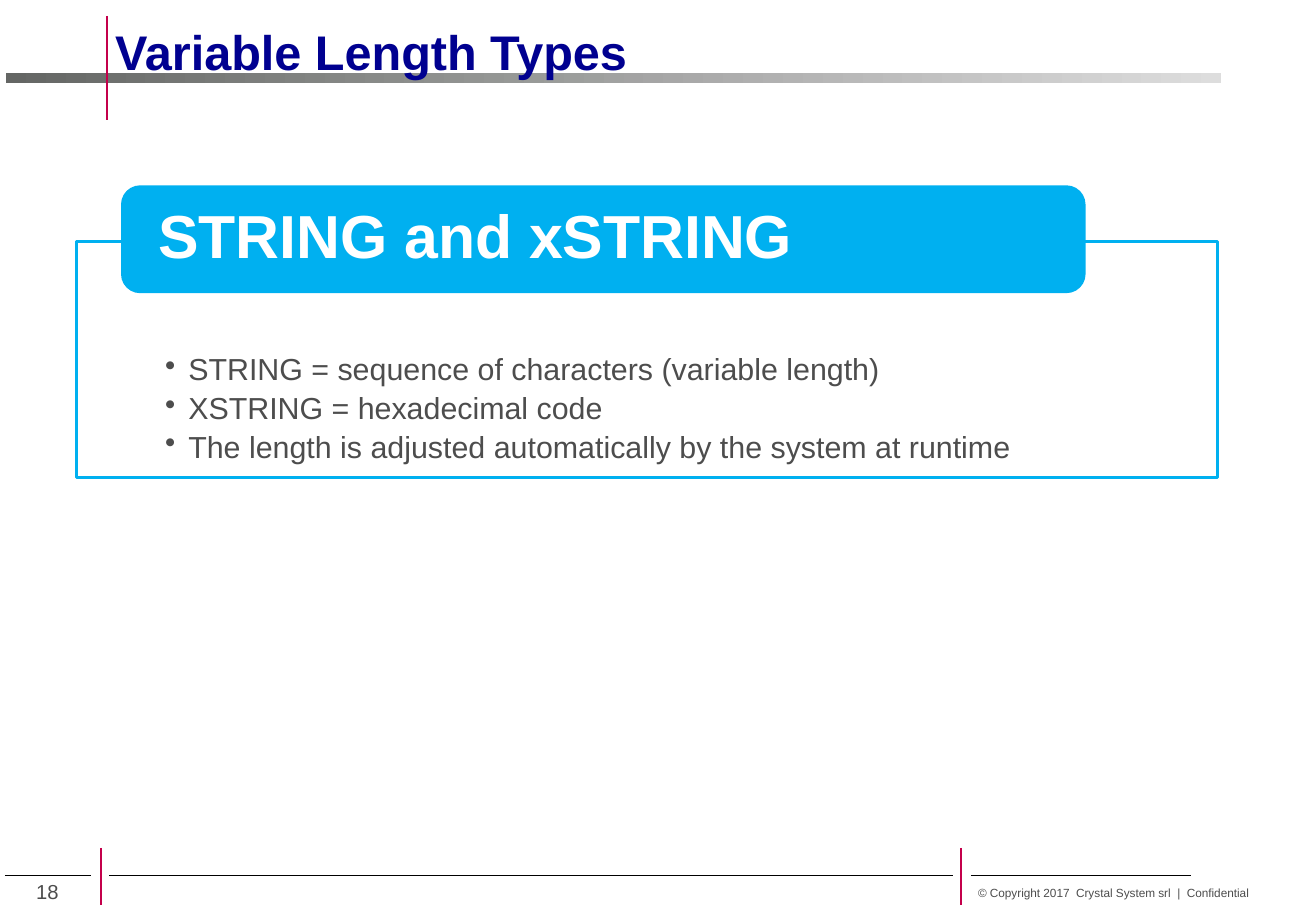
import pptx
import pptx.dml.color
import pptx.enum.shapes
import pptx.enum.text
import pptx.oxml.ns
import pptx.util
from lxml import etree

PX = 9144  # EMU in one px, 100 px to the inch
RGB = pptx.dml.color.RGBColor
SHAPES = pptx.enum.shapes.MSO_SHAPE
ANCHOR = pptx.enum.text.MSO_ANCHOR

WHITE = RGB(0xFF, 0xFF, 0xFF)
BLACK = RGB(0x00, 0x00, 0x00)
NAVY = RGB(0x00, 0x00, 0x90)
SKY = RGB(0x00, 0xB0, 0xF0)
CRIMSON = RGB(0xC4, 0x00, 0x4B)
GREY = RGB(0x4D, 0x4D, 0x4D)
BAR_DARK = RGB(0x64, 0x66, 0x64)
BAR_LIGHT = RGB(0xDD, 0xDD, 0xDD)

POINTS = [
    "STRING = sequence of characters (variable length)",
    "XSTRING = hexadecimal code",
    "The length is adjusted automatically by the system at runtime",
]
BLACK_RULES = [(4, 75), (90, 784), (799, 980)]  # left and right ends
CRIMSON_RULES = [(88, 13, 99), (83, 698, 745), (791, 698, 745)]  # x, top, bottom


def px(*lengths):
    return [pptx.util.Emu(length * PX) for length in lengths]


def set_frame(shape, insets=(10, 5, 10, 5), anchor=ANCHOR.TOP, wrap=True):
    frame = shape.text_frame
    (frame.margin_left, frame.margin_top,
     frame.margin_right, frame.margin_bottom) = px(*insets)
    frame.vertical_anchor = anchor
    frame.word_wrap = wrap
    return frame


def add_span(para, text, size, color, bold=False):
    para.alignment = pptx.enum.text.PP_ALIGN.LEFT
    span = para.add_run()
    span.text = text
    span.font.name = "Arial"
    span.font.size = pptx.util.Pt(size)
    span.font.bold = bold
    span.font.color.rgb = color


def add_label(page, at, text, size, color, bold=False, wrap=False):
    box = page.shapes.add_textbox(*px(*at))
    add_span(set_frame(box, wrap=wrap).paragraphs[0], text, size, color, bold)


def add_rule(page, start, end, color, width):
    rule = page.shapes.add_connector(
        pptx.enum.shapes.MSO_CONNECTOR.STRAIGHT, *px(*start, *end))
    rule.line.color.rgb = color
    rule.line.width = pptx.util.Pt(width)
    etree.SubElement(rule._element.spPr, pptx.oxml.ns.qn("a:effectLst"))


def add_panel(page, kind, at, fill):
    panel = page.shapes.add_shape(kind, *px(*at))
    panel.shadow.inherit = False
    panel.fill.solid()
    panel.fill.fore_color.rgb = fill
    panel.line.color.rgb = SKY
    panel.line.width = pptx.util.Pt(2)
    return panel


def add_gradient_bar(page, at):
    bar = page.shapes.add_shape(SHAPES.RECTANGLE, *px(*at))
    bar.shadow.inherit = False
    bar.line.fill.background()
    bar.fill.gradient()
    bar.fill.gradient_angle = 0
    for stop, color in zip(bar.fill.gradient_stops, (BAR_DARK, BAR_LIGHT)):
        stop.color.rgb = color


def add_bullets(frame, lines):
    for index, line in enumerate(lines):
        para = frame.add_paragraph() if index else frame.paragraphs[0]
        properties = para._p.get_or_add_pPr()
        properties.set("marL", str(19 * PX))
        properties.set("indent", str(-19 * PX))
        bullet = etree.SubElement(properties, pptx.oxml.ns.qn("a:buChar"))
        bullet.set("char", "•")
        para.line_spacing = 0.9
        para.space_after = pptx.util.Pt(3.5)
        add_span(para, line, 18, GREY)


def main():
    deck = pptx.Presentation()
    deck.slide_width, deck.slide_height = px(1083, 750)
    page = deck.slides.add_slide(deck.slide_layouts[6])

    # Header bar, rules and footer
    add_gradient_bar(page, (5, 60, 1000, 8))
    for left, right in BLACK_RULES:
        add_rule(page, (left, 721), (right, 721), BLACK, 0.75)
    for x, top, bottom in CRIMSON_RULES:
        add_rule(page, (x, top), (x, bottom), CRIMSON, 1.5)
    add_label(page, (795, 724, 245, 22),
              "© Copyright 2017  Crystal System srl  |  Confidential", 7, GREY)
    add_label(page, (20, 719, 43, 30), "18", 12, GREY)

    # Title
    add_label(page, (85, 13, 983, 55), "Variable Length Types", 28.8, NAVY,
              bold=True, wrap=True)

    # Framed list with its heading
    body = add_panel(page, SHAPES.RECTANGLE, (63, 199, 939, 194), WHITE)
    add_bullets(set_frame(body, (73, 93, 73, 14)), POINTS)
    heading = add_panel(page, SHAPES.ROUNDED_RECTANGLE, (101, 154, 791, 86), SKY)
    frame = set_frame(heading, (25, 0, 25, 0), ANCHOR.MIDDLE)
    frame.paragraphs[0].line_spacing = 0.9
    add_span(frame.paragraphs[0], "STRING and xSTRING", 36, WHITE, bold=True)

    deck.save("out.pptx")


if __name__ == "__main__":
    main()
